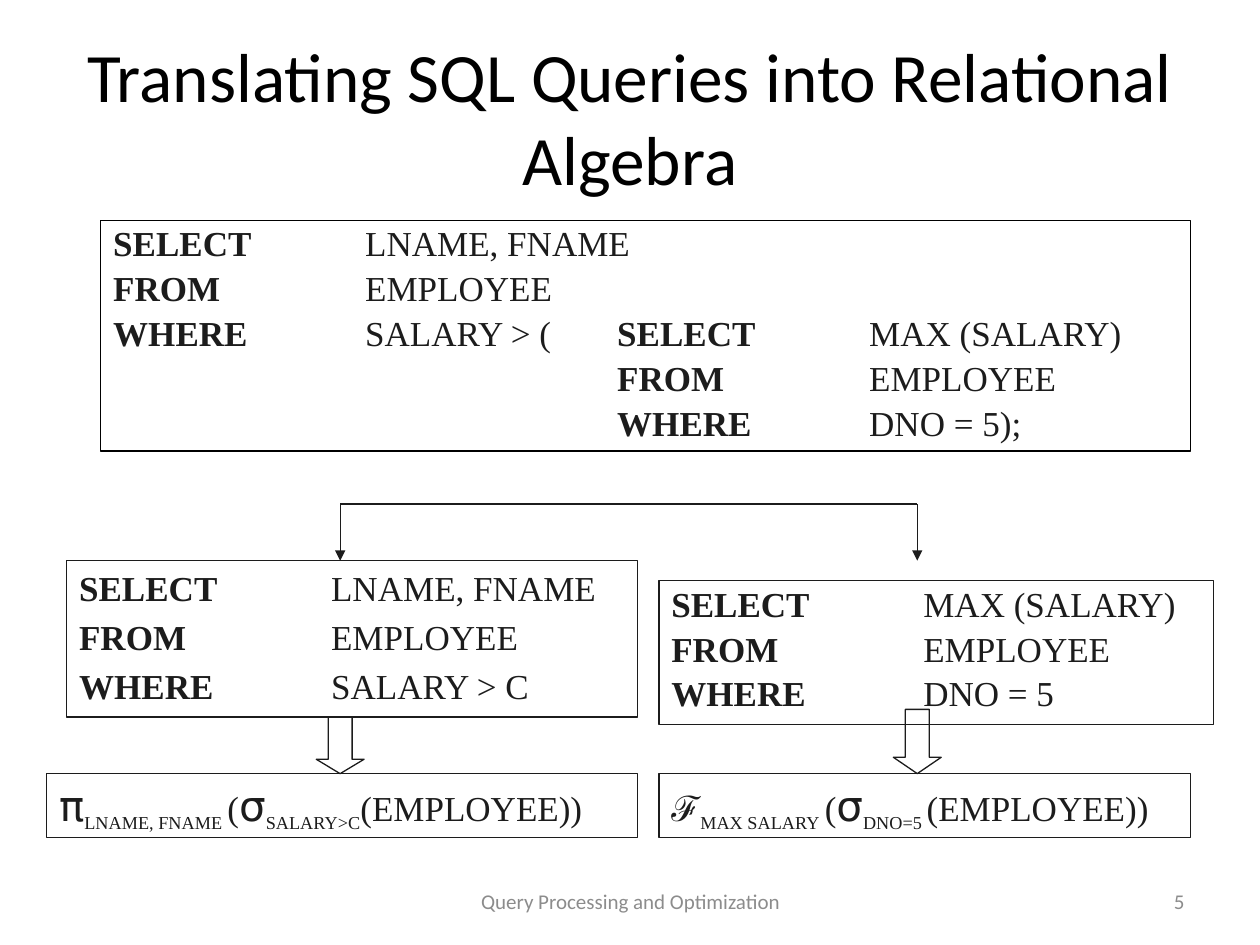
import pptx
import pptx.util
import pptx.dml.color
import pptx.enum.shapes
import pptx.enum.text
import pptx.oxml

Inch, Pt = pptx.util.Inches, pptx.util.Pt
RGB = pptx.dml.color.RGBColor
KIND = pptx.enum.shapes.MSO_SHAPE
ALIGN = pptx.enum.text.PP_ALIGN
ANCHOR = pptx.enum.text.MSO_ANCHOR
BLACK, INK, GREY = RGB(0, 0, 0), RGB(0x1C, 0x1C, 0x1C), RGB(0x8C, 0x8C, 0x8C)
NS = 'xmlns:a="http://schemas.openxmlformats.org/drawingml/2006/main"'
SERIF = "Times New Roman"

# Content: SQL words in capitals from KEYS are bold, tabs set the columns
KEYS = ("SELECT", "FROM", "WHERE")
LEFT, RIGHT, EDGE = 2.7, 7.28, 5.23
QUERIES = [
    ((0.8, 1.75, 8.65, 1.83), BLACK, 0.9, [
        ["SELECT", " \tLNAME, FNAME"],
        ["FROM", " \t\tEMPLOYEE"],
        ["WHERE", " \tSALARY > (\t", "SELECT", " \tMAX (SALARY)"],
        ["\t\t\t\t", "FROM", "\t\tEMPLOYEE"],
        ["\t\t\t\t", "WHERE", " \tDNO = 5);"]]),
    ((EDGE, 4.61, 4.4, 1.14), INK, 0.9, [
        ["SELECT", "\tMAX (SALARY)"],
        ["FROM", "\t\tEMPLOYEE"],
        ["WHERE", " \tDNO = 5"]]),
    ((0.53, 4.45, 4.53, 1.24), INK, 1.0, [
        ["SELECT", " \tLNAME, FNAME"],
        ["FROM", " \t\tEMPLOYEE"],
        ["WHERE", " \tSALARY > C"]]),
]
# Run styles: font, size, baseline shift
STYLES = {"greek": ("DejaVu Sans", 24, 0), "script": ("Arial", 20, 0),
          "sub": (SERIF, 18, -25000), "gap": (SERIF, 20, -25000),
          "body": (SERIF, 20, 0)}
FORMULAS = [
    ((0.37, 6.14, 4.69, 0.51), [
        ("π", "greek"), ("LNAME, FNAME", "sub"), (" ", "gap"), ("(", "body"),
        ("σ", "greek"), ("SALARY>C", "sub"), ("(EMPLOYEE))", "body")]),
    ((EDGE, 6.14, 4.22, 0.51), [
        ("ℱ", "script"), ("MAX SALARY", "sub"), (" ", "gap"), ("(", "body"),
        ("σ", "greek"), ("DNO=5 ", "sub"), ("(EMPLOYEE))", "body")]),
]
LABELS = [
    ((0.5, 0.3, 9, 1.25), "Translating SQL Queries into Relational Algebra",
     39.6, BLACK, ALIGN.CENTER),
    ((3.42, 6.95, 3.17, 0.4), "Query Processing and Optimization",
     12, GREY, ALIGN.CENTER),
    ((7.17, 6.95, 2.33, 0.4), "5", 12, GREY, ALIGN.RIGHT),
]
FORK, TIP = 4, 4.45
LINES = [((LEFT, FORK), (RIGHT, FORK), False),
         ((LEFT, FORK), (LEFT, TIP), True),
         ((RIGHT, FORK), (RIGHT, TIP), True)]
ARROWS = [(LEFT, 5.69, 0.3), (RIGHT, 5.63, 0.34)]

deck = pptx.Presentation()
deck.slide_width, deck.slide_height = Inch(10), Inch(7.5)
slide = deck.slides.add_slide(deck.slide_layouts[6])
shapes = slide.shapes


def outline(kind, at, tint=INK):
    shape = shapes.add_shape(kind, *map(Inch, at))
    shape.shadow.inherit = False
    shape.fill.background()
    shape.line.color.rgb = tint
    shape.line.width = Pt(0.75)
    frame = shape.text_frame
    frame.word_wrap = True
    frame.vertical_anchor = ANCHOR.TOP
    frame.paragraphs[0].alignment = ALIGN.LEFT
    return shape


def add_run(para, text, face=SERIF, size=20, tint=INK, bold=False, shift=0):
    run = para.add_run()
    run.text = text
    font = run.font
    font.name, font.size, font.bold = face, Pt(size), bold
    font.color.rgb = tint
    if shift:
        run._r.get_or_add_rPr().set("baseline", str(shift))


# Title and footer
for at, text, size, tint, align in LABELS:
    frame = shapes.add_textbox(*map(Inch, at)).text_frame
    frame.word_wrap = True
    frame.vertical_anchor = ANCHOR.MIDDLE
    para = frame.paragraphs[0]
    para.alignment = align
    add_run(para, text, "Calibri", size, tint)

# SQL boxes, with a tab stop at each inch
for at, tint, pitch, rows in QUERIES:
    frame = outline(KIND.RECTANGLE, at, tint).text_frame
    frame.margin_right = 0
    for i, row in enumerate(rows):
        para = frame.add_paragraph() if i else frame.paragraphs[0]
        para.alignment = ALIGN.LEFT
        para.line_spacing = pitch
        para.space_before = Pt(4)
        props = para._p.get_or_add_pPr()
        props.set("defTabSz", str(Inch(1)))
        stops = "".join(f'<a:tab pos="{Inch(n)}" algn="l"/>'
                        for n in range(1, 8))
        props.append(pptx.oxml.parse_xml(
            f"<a:tabLst {NS}>{stops}</a:tabLst>"))
        for text in row:
            add_run(para, text, bold=text in KEYS)

# Fork from the query to its two blocks
for start, end, head in LINES:
    line = shapes.add_connector(pptx.enum.shapes.MSO_CONNECTOR.STRAIGHT,
                                *map(Inch, start + end))
    line.line.color.rgb = INK
    line.line.width = Pt(0.75)
    if head:
        line.line._get_or_add_ln().append(
            pptx.oxml.parse_xml(f'<a:tailEnd {NS} type="triangle"/>'))
    line._element.spPr.append(pptx.oxml.parse_xml(f"<a:effectLst {NS}/>"))

# Algebra boxes
for at, parts in FORMULAS:
    para = outline(KIND.RECTANGLE, at).text_frame.paragraphs[0]
    for text, style in parts:
        face, size, shift = STYLES[style]
        add_run(para, text, face, size, shift=shift)

# Block arrows end on the algebra boxes
for mid, top, tip in ARROWS:
    arrow = outline(KIND.DOWN_ARROW, (mid - 0.19, top, 0.38, 6.14 - top))
    arrow.adjustments[0], arrow.adjustments[1] = 0.5, tip

deck.save("out.pptx")
